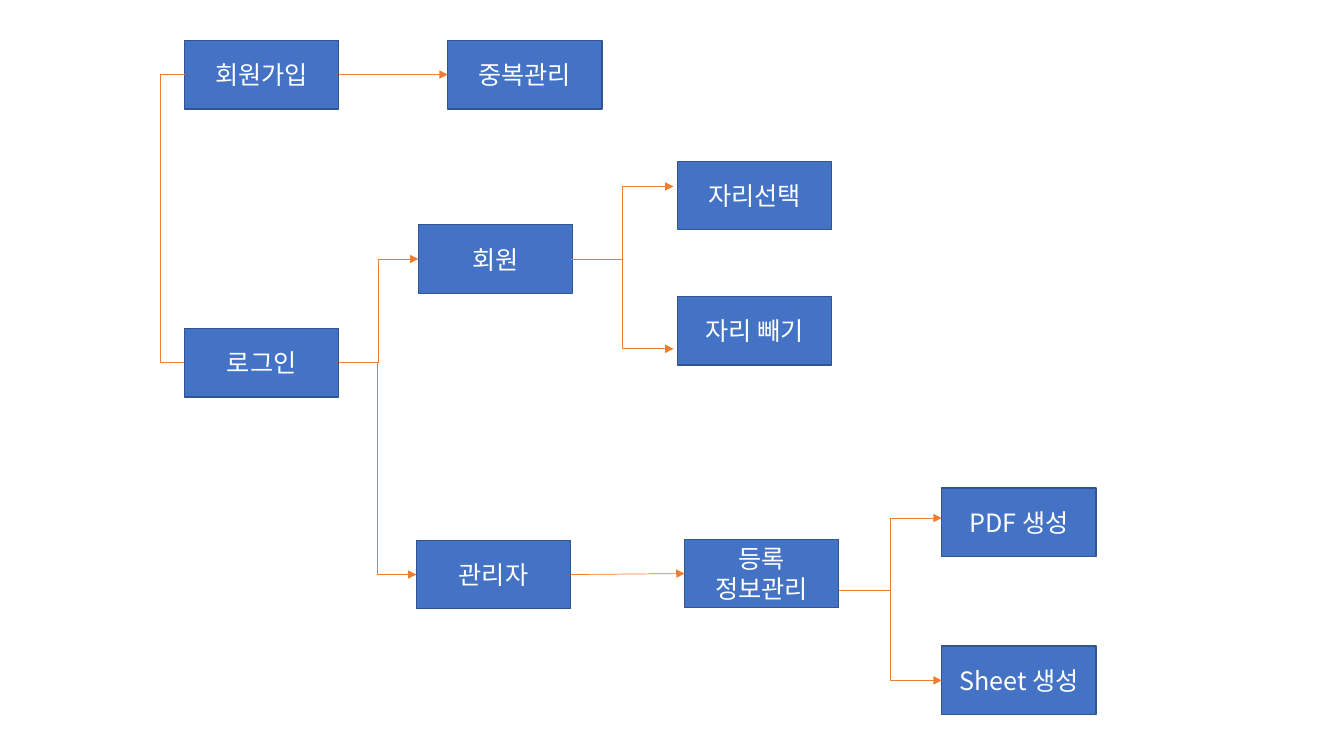
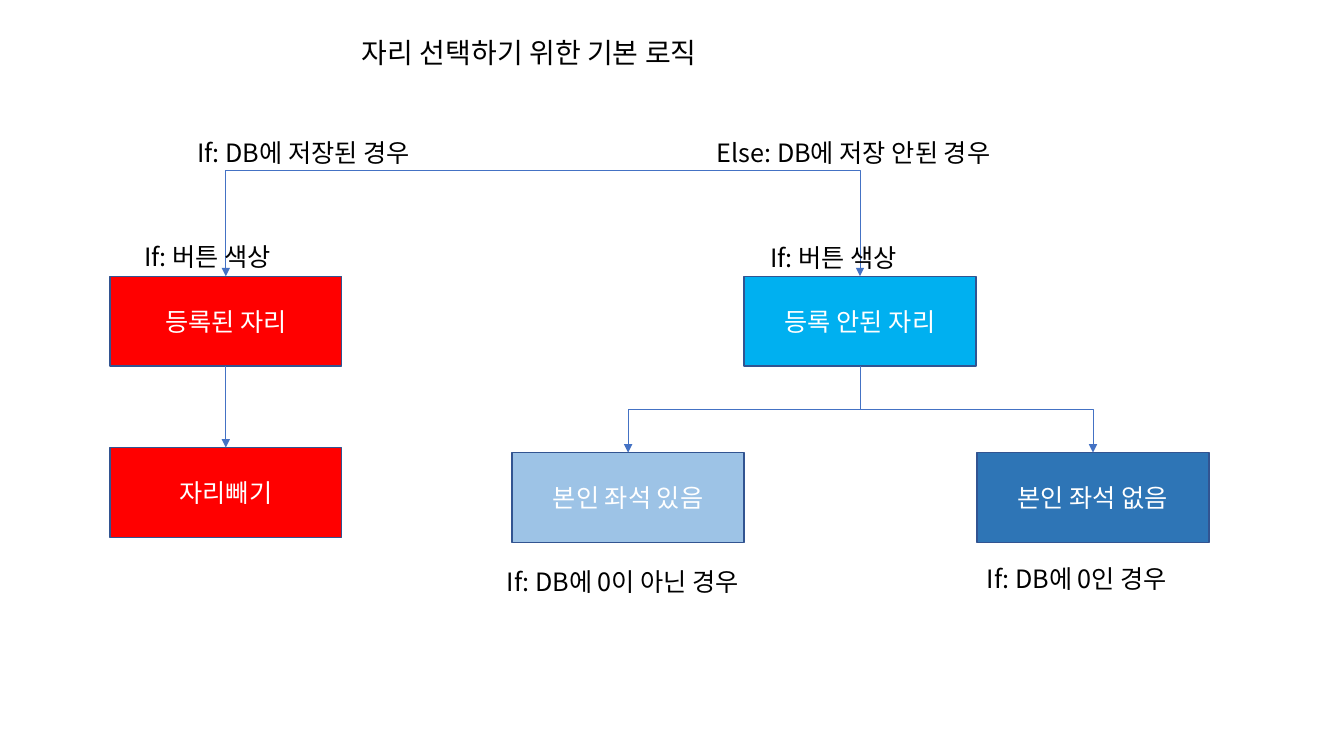
from lxml import etree
from pptx import Presentation
from pptx.dml.color import RGBColor
from pptx.enum.shapes import MSO_CONNECTOR, MSO_SHAPE
from pptx.enum.text import MSO_ANCHOR, MSO_AUTO_SIZE, PP_ALIGN
from pptx.oxml.ns import qn
from pptx.util import Inches, Pt

RECTANGLE = MSO_SHAPE.RECTANGLE
STRAIGHT, ELBOW = MSO_CONNECTOR.STRAIGHT, MSO_CONNECTOR.ELBOW
LEFT, CENTER = PP_ALIGN.LEFT, PP_ALIGN.CENTER
TOP, MIDDLE = MSO_ANCHOR.TOP, MSO_ANCHOR.MIDDLE
FIT_SHAPE, NO_FIT = MSO_AUTO_SIZE.SHAPE_TO_FIT_TEXT, MSO_AUTO_SIZE.NONE
TITLE_ONLY, BLANK = 5, 6
TOP_SITE, LEFT_SITE, BOTTOM_SITE, RIGHT_SITE = range(4)

FONT = "Noto Sans CJK KR"
COLORS = {
    "blue": "4472C4", "outline": "325491", "orange": "ED7D31",
    "red": "FF0000", "cyan": "00B0F0", "pale": "9DC3E6", "deep": "2E75B6",
    "white": "FFFFFF", "black": "000000",
}


def rgb(name):
    return RGBColor.from_string(COLORS[name])


def point(x, y):
    return Inches(x), Inches(y)


def left_of(box):
    return box.left, box.top + box.height // 2


def right_of(box):
    return box.left + box.width, box.top + box.height // 2


def top_of(box):
    return box.left + box.width // 2, box.top


def bottom_of(box):
    return box.left + box.width // 2, box.top + box.height


class FlowDeck:
    def __init__(self):
        self.deck = Presentation()
        self.deck.slide_width, self.deck.slide_height = point(13.33, 7.5)

    def new_slide(self, layout, box_size, line_color):
        self.slide = self.deck.slides.add_slide(self.deck.slide_layouts[layout])
        self.box_size = box_size
        self.line_color = line_color

    def set_text(self, shape, text, color, size, align, anchor, fit):
        frame = shape.text_frame
        frame.text = text
        frame.word_wrap = True
        frame.auto_size = fit
        frame.vertical_anchor = anchor
        para = frame.paragraphs[0]
        para.alignment = align
        para.font.size = Pt(size)
        para.font.color.rgb = rgb(color)
        para.font.name = FONT
        latin = para._p.find(".//" + qn("a:latin"))
        latin.addnext(etree.Element(qn("a:ea"), typeface=FONT))

    def title(self, text, x, y, width, height):
        title = self.slide.shapes.title
        title.left, title.top = point(x, y)
        title.width, title.height = point(width, height)
        self.set_text(title, text, "black", 20, LEFT, TOP, NO_FIT)

    def box(self, text, x, y, fill="blue"):
        box = self.slide.shapes.add_shape(RECTANGLE, *point(x, y), *point(*self.box_size))
        box.shadow.inherit = False
        box.fill.solid()
        box.fill.fore_color.rgb = rgb(fill)
        box.line.color.rgb = rgb("outline")
        box.line.width = Pt(1)
        self.set_text(box, text, "white", 18, CENTER, MIDDLE, NO_FIT)
        return box

    def label(self, text, x, y, width):
        label = self.slide.shapes.add_textbox(*point(x, y), *point(width, 0.4))
        self.set_text(label, text, "black", 18, LEFT, TOP, FIT_SHAPE)

    def connector(self, kind, start, end, arrow=True):
        connector = self.slide.shapes.add_connector(kind, *start, *end)
        connector.line.color.rgb = rgb(self.line_color)
        connector.line.width = Pt(0.5)
        properties = connector._element.spPr
        if arrow:
            etree.SubElement(properties.find(qn("a:ln")), qn("a:tailEnd"), type="triangle")
        etree.SubElement(properties, qn("a:effectLst"))
        return connector

    def arrow(self, source, source_site, target, target_site):
        connector = self.connector(STRAIGHT, (0, 0), (0, 0))
        connector.begin_connect(source, source_site)
        connector.end_connect(target, target_site)

    def elbow(self, start, end):
        """Run sideways, turn halfway, and arrive sideways."""
        self.connector(ELBOW, start, end)

    def corner(self, start, end):
        """Run sideways, then straight down to the end."""
        connector = self.connector(ELBOW, start, end)
        connector._element.spPr.find(qn("a:prstGeom")).set("prst", "bentConnector2")

    def drop(self, start, end):
        """Run down, turn halfway, and arrive from above: an elbow on its side."""
        center_x, center_y = (start[0] + end[0]) // 2, (start[1] + end[1]) // 2
        half_run, half_drop = abs(end[0] - start[0]) // 2, (end[1] - start[1]) // 2
        to_left = end[0] < start[0]
        reach = half_drop if to_left else -half_drop
        connector = self.connector(
            ELBOW, (center_x - reach, center_y - half_run), (center_x + reach, center_y + half_run))
        turn = 90 if to_left else 270
        connector._element.spPr.find(qn("a:xfrm")).set("rot", str(turn * 60000))

    def bracket(self, start, end, depth):
        """Join two left sides by a line that bulges out to the left by depth."""
        connector = self.connector(ELBOW, start, end, arrow=False)
        ratio = round(depth / (start[0] - end[0]) * 100000)
        guides = connector._element.spPr.find(".//" + qn("a:avLst"))
        etree.SubElement(guides, qn("a:gd"), name="adj1", fmla=f"val {ratio}")


def build_menu_flow(flow):
    flow.new_slide(BLANK, (1.53, 0.68), "orange")
    login = flow.box("로그인", 1.83, 3.26)
    member = flow.box("회원", 4.15, 2.23)
    manager = flow.box("관리자", 4.13, 5.36)
    sign_up = flow.box("회원가입", 1.83, 0.4)
    flow.box("자리선택", 6.72, 1.6)
    flow.box("자리 빼기", 6.72, 2.94)
    duplicates = flow.box("중복관리", 4.44, 0.4)
    records = flow.box("등록 정보관리", 6.79, 5.35)
    flow.box("PDF 생성", 9.34, 4.84)
    flow.box("Sheet 생성", 9.34, 6.41)

    for target in (member, manager):
        flow.elbow(right_of(login), left_of(target))
    for x, y in ((5.66, 2.57), (8.32, 5.86)):
        for rise in (0.89, -0.72):
            flow.elbow(point(x, y), point(x + 1.02, y + rise))
    flow.arrow(sign_up, RIGHT_SITE, duplicates, LEFT_SITE)
    flow.arrow(manager, RIGHT_SITE, records, LEFT_SITE)
    flow.bracket(point(1.84, 0.74), left_of(login), Inches(0.25))


def build_seat_logic(flow):
    flow.new_slide(TITLE_ONLY, (2.3, 0.89), "blue")
    flow.title("자리 선택하기 위한 기본 로직", 3.49, 0.3, 4.37, 0.44)
    free = flow.box("등록 안된 자리", 7.38, 2.74, "cyan")
    taken = flow.box("등록된 자리", 1.09, 2.74, "red")
    has_seat = flow.box("본인 좌석 있음", 5.08, 4.49, "pale")
    no_seat = flow.box("본인 좌석 없음", 9.69, 4.49, "deep")
    release = flow.box("자리빼기", 1.09, 4.44, "red")

    for target in (no_seat, has_seat):
        flow.drop(bottom_of(free), top_of(target))
    for target in (free, taken):
        flow.corner(point(5.92, 1.69), top_of(target))
    flow.arrow(taken, BOTTOM_SITE, release, TOP_SITE)

    for text, x, y, width in (
        ("If: 버튼 색상", 1.33, 2.34, 2.22),
        ("If: 버튼 색상", 7.54, 2.36, 2.22),
        ("If: DB에 저장된 경우", 1.86, 1.31, 2.61),
        ("Else: DB에 저장 안된 경우", 7.01, 1.31, 3.24),
        ("If: DB에 0이 아닌 경우", 4.93, 5.57, 2.86),
        ("If: DB에 0인 경우", 9.69, 5.54, 2.86),
    ):
        flow.label(text, x, y, width)


def main():
    flow = FlowDeck()
    build_menu_flow(flow)
    build_seat_logic(flow)
    flow.deck.save("out.pptx")


if __name__ == "__main__":
    main()
